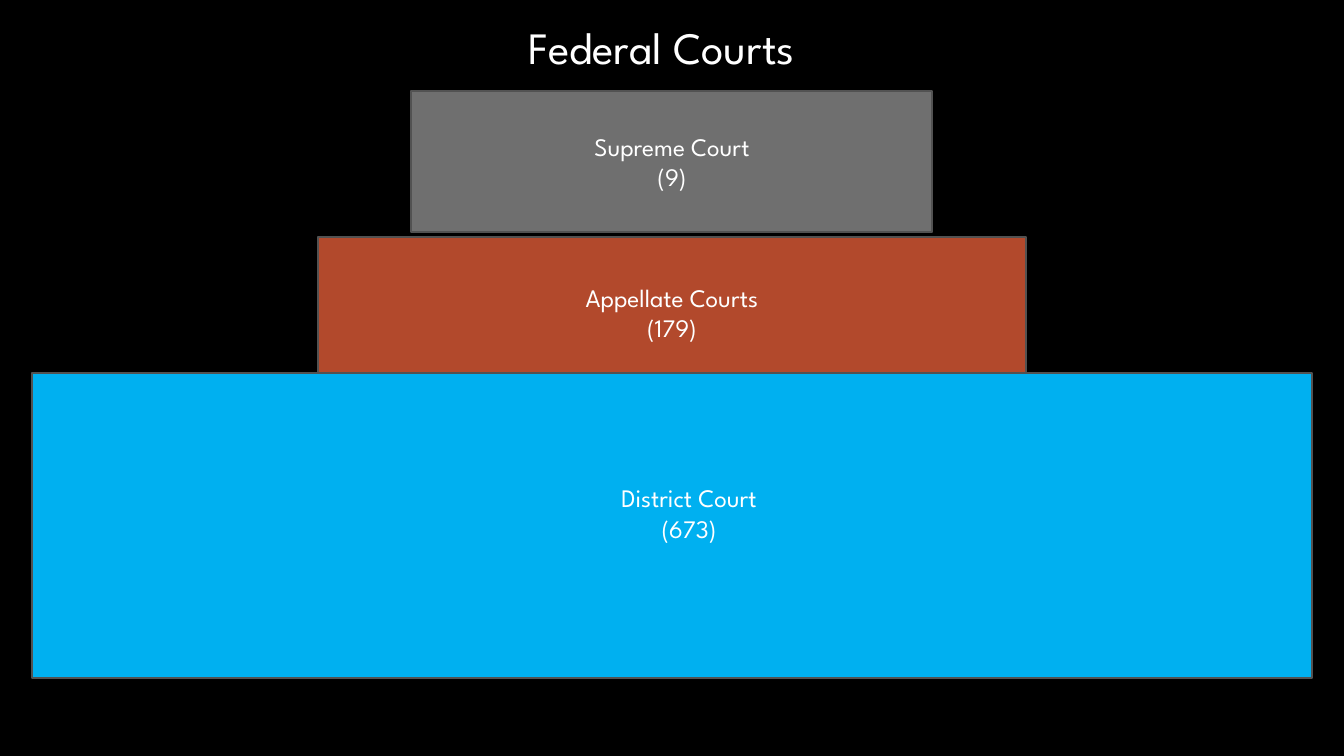
from dataclasses import dataclass

import pptx
import pptx.dml.color
import pptx.enum.shapes
import pptx.enum.text
import pptx.shapes.autoshape
import pptx.slide
import pptx.text.text
import pptx.util

Pt = pptx.util.Pt
RGBColor = pptx.dml.color.RGBColor
PP_ALIGN = pptx.enum.text.PP_ALIGN
MSO_AUTO_SIZE = pptx.enum.text.MSO_AUTO_SIZE

BLACK = RGBColor(0x00, 0x00, 0x00)
WHITE = RGBColor(0xFF, 0xFF, 0xFF)
GRAY = RGBColor(0x6F, 0x6F, 0x6F)
OUTLINE = RGBColor(0x52, 0x52, 0x52)
RUST = RGBColor(0xB2, 0x49, 0x2C)
BLUE = RGBColor(0x00, 0xB0, 0xF0)

FONT = "League Spartan"
SLIDE_WIDTH, SLIDE_HEIGHT = 960, 540
LABEL_WIDTH, LABEL_HEIGHT = 316.8, 51.1


@dataclass(frozen=True)
class Tier:
    """A level of the pyramid, centred on the slide."""
    top: float
    width: float
    height: float
    fill: RGBColor


@dataclass(frozen=True)
class Label:
    left: float
    top: float
    lines: tuple[str, str]


SUPREME_LINES = ("Supreme Court", "(9)")
SUPREME = Tier(65.2, 372.2, 100.8, GRAY)
APPELLATE = Tier(169.2, 506.2, 100.8, RUST)
DISTRICT = Tier(266.4, 914.4, 218, BLUE)
LABELS = (
    Label(321.6, 198, ("Appellate Courts", "(179)")),
    Label(333.8, 341.2, ("District Court", "(673)")),
)


def write_lines(frame: pptx.text.text.TextFrame, lines: tuple[str, ...],
                size: float, alignment: PP_ALIGN) -> None:
    for index, line in enumerate(lines):
        paragraph = frame.paragraphs[0] if index == 0 else frame.add_paragraph()
        paragraph.text = line
        paragraph.alignment = alignment
        paragraph.font.name = FONT
        paragraph.font.size = Pt(size)
        paragraph.font.color.rgb = WHITE


def add_tier(slide: pptx.slide.Slide, tier: Tier) -> pptx.shapes.autoshape.Shape:
    shape = slide.shapes.add_shape(
        pptx.enum.shapes.MSO_SHAPE.RECTANGLE,
        Pt((SLIDE_WIDTH - tier.width) / 2), Pt(tier.top),
        Pt(tier.width), Pt(tier.height))
    shape.shadow.inherit = False
    shape.fill.solid()
    shape.fill.fore_color.rgb = tier.fill
    shape.line.color.rgb = OUTLINE
    shape.line.width = Pt(1.5)
    return shape


def add_label(slide: pptx.slide.Slide, label: Label) -> None:
    box = slide.shapes.add_textbox(
        Pt(label.left), Pt(label.top), Pt(LABEL_WIDTH), Pt(LABEL_HEIGHT))
    box.text_frame.word_wrap = True
    box.text_frame.auto_size = MSO_AUTO_SIZE.SHAPE_TO_FIT_TEXT
    write_lines(box.text_frame, label.lines, 18, PP_ALIGN.CENTER)


def add_title(slide: pptx.slide.Slide) -> None:
    box = slide.shapes.add_textbox(Pt(370.8), Pt(10.8), Pt(241.9), Pt(46.1))
    box.text_frame.word_wrap = False
    box.text_frame.auto_size = MSO_AUTO_SIZE.SHAPE_TO_FIT_TEXT
    write_lines(box.text_frame, ("Federal Courts",), 32, PP_ALIGN.LEFT)


def main() -> None:
    presentation = pptx.Presentation()
    presentation.slide_width = Pt(SLIDE_WIDTH)
    presentation.slide_height = Pt(SLIDE_HEIGHT)
    slide = presentation.slides.add_slide(presentation.slide_layouts[6])
    slide.background.fill.solid()
    slide.background.fill.fore_color.rgb = BLACK

    supreme = add_tier(slide, SUPREME)
    supreme.text_frame.vertical_anchor = pptx.enum.text.MSO_ANCHOR.MIDDLE
    write_lines(supreme.text_frame, SUPREME_LINES, 18, PP_ALIGN.CENTER)
    for tier in (APPELLATE, DISTRICT):
        add_tier(slide, tier)
    for label in LABELS:
        add_label(slide, label)
    add_title(slide)

    presentation.save("out.pptx")


if __name__ == "__main__":
    main()
